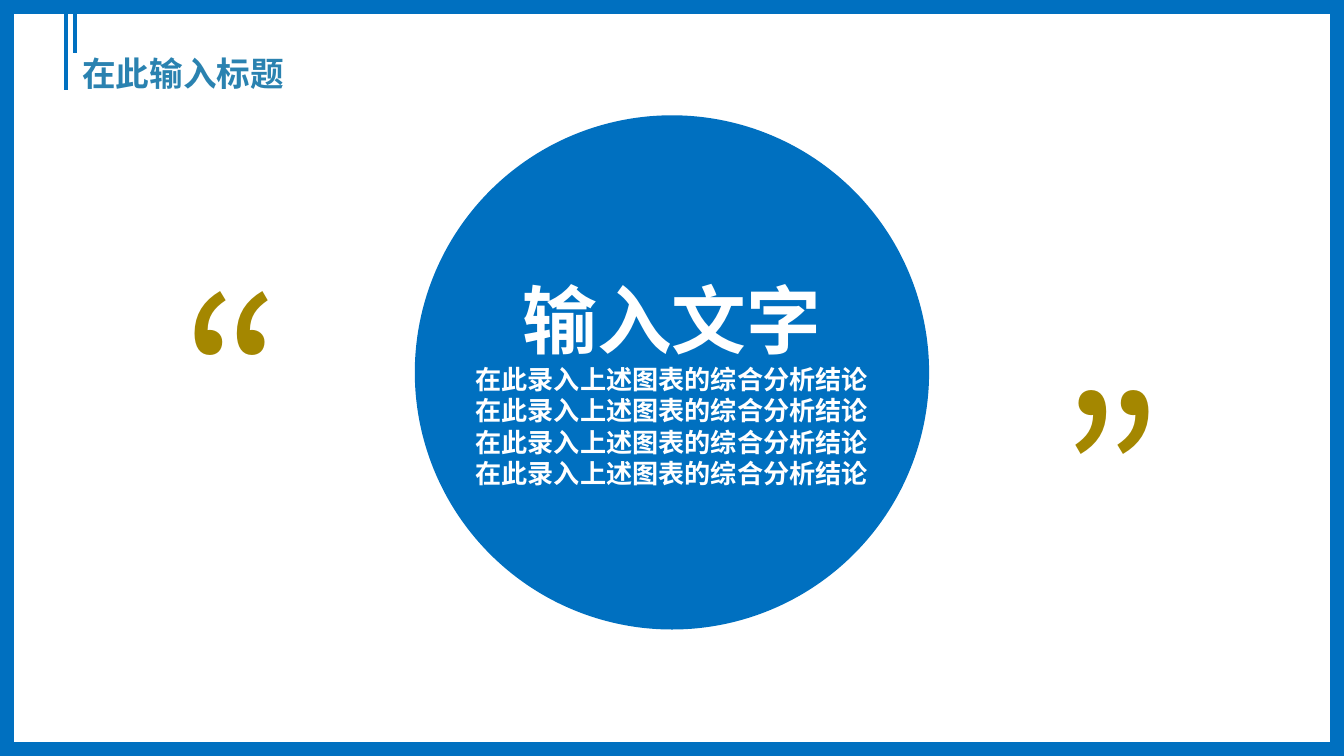
from dataclasses import dataclass

from lxml import etree
from pptx import Presentation
from pptx import util as u
from pptx.dml.color import RGBColor
from pptx.enum import shapes, text
from pptx.oxml.ns import qn


@dataclass(frozen=True)
class Theme:
    blue: str = "0070C0"
    title_blue: str = "2A82B0"
    gold: str = "A48700"
    white: str = "FFFFFF"
    title_font: str = "DejaVu Sans"
    body_font: str = "Noto Sans CJK SC"
    quote_font: str = "Noto Sans CJK JP"
    title_size: float = 18
    heading_size: float = 40
    body_size: float = 14
    quote_size: float = 115
    line_spacing: float = 1.2
    line_width: float = 2.25
    frame_width: float = 2


class SlideBuilder:
    """Holds the style and the current slide; lengths are in centimetres."""

    def __init__(self, presentation, theme):
        self.theme = theme
        self.slide = presentation.slides.add_slide(presentation.slide_layouts[5])

    def format_runs(self, paragraph, font, size, color, bold=False):
        for run in paragraph.runs:
            run.font.name = font
            run.font.size = u.Pt(size)
            run.font.bold = bold
            run.font.color.rgb = RGBColor.from_string(color)
            east_asian = etree.SubElement(run.font._element, qn("a:ea"))
            east_asian.set("typeface", font)

    def title(self, wording, left, top, width, height):
        shape = self.slide.shapes.title
        shape.left, shape.top = u.Cm(left), u.Cm(top)
        shape.width, shape.height = u.Cm(width), u.Cm(height)
        frame = shape.text_frame
        frame.text = wording
        frame.auto_size = text.MSO_AUTO_SIZE.NONE
        frame.vertical_anchor = text.MSO_ANCHOR.MIDDLE
        paragraph = frame.paragraphs[0]
        paragraph.alignment = text.PP_ALIGN.LEFT
        self.format_runs(paragraph, self.theme.title_font, self.theme.title_size,
                         self.theme.title_blue, True)

    def line(self, x, top, bottom):
        connector = self.slide.shapes.add_connector(
            shapes.MSO_CONNECTOR.STRAIGHT, u.Cm(x), u.Cm(top), u.Cm(x), u.Cm(bottom))
        connector.line.color.rgb = RGBColor.from_string(self.theme.blue)
        connector.line.width = u.Pt(self.theme.line_width)
        etree.SubElement(connector._element.spPr, qn("a:effectLst"))

    def shape(self, kind, left, top, width, height):
        shape = self.slide.shapes.add_shape(
            kind, u.Cm(left), u.Cm(top), u.Cm(width), u.Cm(height))
        shape.shadow.inherit = False
        shape.fill.solid()
        shape.fill.fore_color.rgb = RGBColor.from_string(self.theme.blue)
        shape.line.fill.background()
        return shape

    def text_box(self, lines, left, top, width, height, font, color,
                 bold=False, alignment=text.PP_ALIGN.LEFT):
        """Each line is (wording, type size)."""
        box = self.slide.shapes.add_textbox(
            u.Cm(left), u.Cm(top), u.Cm(width), u.Cm(height))
        frame = box.text_frame
        frame.word_wrap = True
        frame.text = "\n".join(wording for wording, _ in lines)
        for paragraph, (_, size) in zip(frame.paragraphs, lines):
            paragraph.alignment = alignment
            paragraph.line_spacing = u.Pt(size * self.theme.line_spacing)
            self.format_runs(paragraph, font, size, color, bold)
        return box


def main():
    theme = Theme()
    width, height = 25.4, 14.29
    presentation = Presentation()
    presentation.slide_width, presentation.slide_height = u.Cm(width), u.Cm(height)
    builder = SlideBuilder(presentation, theme)

    # Title with two hanging lines
    builder.title("在此输入标题", 1.3, 0.87, 22.86, 1.02)
    for x, bottom in ((1.24, 1.7), (1.42, 1)):
        builder.line(x, 0, bottom)

    # Central circle with its message
    diameter = 9.72
    builder.shape(shapes.MSO_SHAPE.OVAL, (width - diameter) / 2, 2.18, diameter, diameter)
    lines = [("输入文字", theme.heading_size)]
    lines += [("在此录入上述图表的综合分析结论", theme.body_size)] * 4
    message_width = 10.1
    builder.text_box(lines, (width - message_width) / 2, 5.05, message_width, 4.32,
                     theme.body_font, theme.white, True, text.PP_ALIGN.CENTER)

    # Quotation marks: the closing one is the opening one turned round
    quote_width = 4.37
    for left, rotation in ((3.18, 0), (width - 3.18 - quote_width, 180)):
        mark = builder.text_box([("“", theme.quote_size)], left, 4.48,
                                quote_width, 5.13, theme.quote_font, theme.gold)
        mark.rotation = rotation

    # Border around the slide
    border = builder.shape(shapes.MSO_SHAPE.FRAME, 0, 0, width, height)
    border.adjustments[0] = 0.23 / height
    border.line.color.rgb = RGBColor.from_string(theme.blue)
    border.line.width = u.Pt(theme.frame_width)

    presentation.save("out.pptx")


if __name__ == "__main__":
    main()
